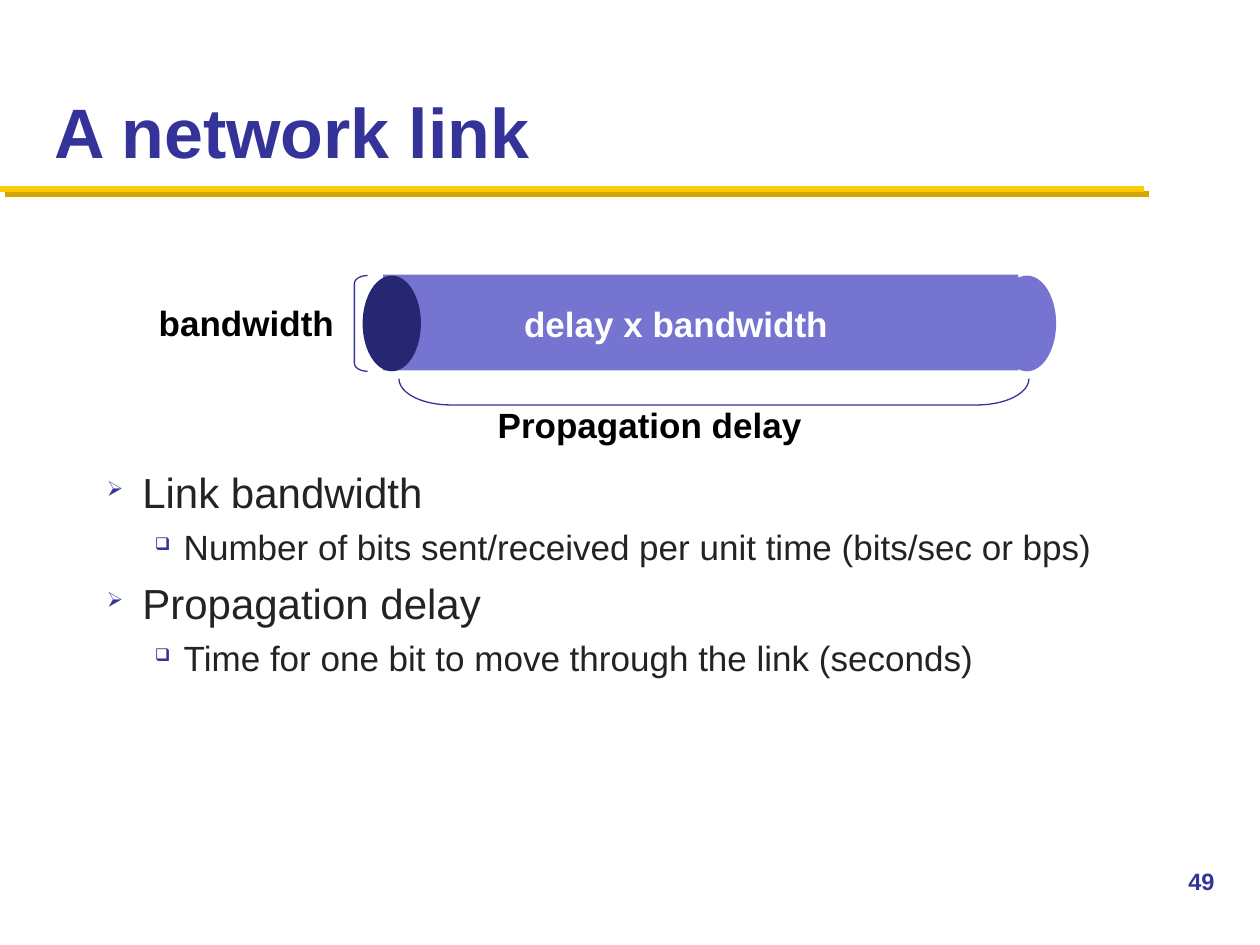
from lxml import etree
from pptx import Presentation
from pptx.dml.color import RGBColor
from pptx.enum import shapes, text
from pptx.oxml import ns
from pptx.util import Pt

NAVY = RGBColor(0x33, 0x33, 0x99)
DARK_END = RGBColor(0x26, 0x26, 0x73)
PIPE = RGBColor(0x75, 0x75, 0xD1)
GOLD = RGBColor(0xFF, 0xCB, 0x05)
INK = RGBColor(0x23, 0x23, 0x23)
BLACK = RGBColor(0, 0, 0)
WHITE = RGBColor(0xFF, 0xFF, 0xFF)
FONT = "Arial"

TITLE = "A network link"
PAGE_NUMBER = "49"
BULLETS = [
    (0, "Link bandwidth"),
    (1, "Number of bits sent/received per unit time (bits/sec or bps)"),
    (0, "Propagation delay"),
    (1, "Time for one bit to move through the link (seconds)"),
]
# Per level: mark, text size, left margin, hanging indent, space before
LEVELS = [("➢", 24, 20.25, 20.25, 5.6), ("❑", 20, 43.9, 16.5, 4.8)]

# Text, colour, box in points
LABELS = [
    ("bandwidth", BLACK, (82.8, 168.5, 115.2, 31.5)),
    ("Propagation delay", BLACK, (275.8, 226.8, 189.4, 31.5)),
    ("delay x bandwidth", WHITE, (290.9, 169.2, 189.4, 31.5)),
]

MSO = shapes.MSO_SHAPE
PIPE_TOP, PIPE_HEIGHT, END_WIDTH = 157.5, 54.7, 33.3
# Preset, box in points, fill
PIPE_PARTS = [
    (MSO.OVAL, (570.2, PIPE_TOP, END_WIDTH, PIPE_HEIGHT), PIPE),
    (MSO.RECTANGLE, (219, PIPE_TOP - 0.5, 363, PIPE_HEIGHT), PIPE),
    (MSO.OVAL, (207.2, PIPE_TOP, END_WIDTH, PIPE_HEIGHT), DARK_END),
]
# Box in points, rotation, bracket curvature
BRACKETS = [
    ((202.5, PIPE_TOP, 7.5, PIPE_HEIGHT), 0, 0.61),
    ((400.5, 43.9, 15, 360), 270, 1.98),
]


def points(values):
    return [Pt(value) for value in values]


def add_run(paragraph, words, size, color, bold=False):
    run = paragraph.add_run()
    run.text = words
    run.font.name = FONT
    run.font.size = Pt(size)
    run.font.bold = bold
    run.font.color.rgb = color


def add_text_box(slide, box, wrap=True):
    frame = slide.shapes.add_textbox(*points(box)).text_frame
    frame.word_wrap = wrap
    return frame


def add_bullet(paragraph, mark):
    properties = paragraph._p.get_or_add_pPr()
    color = etree.SubElement(properties, ns.qn("a:buClr"))
    etree.SubElement(color, ns.qn("a:srgbClr"), val=str(NAVY))
    etree.SubElement(properties, ns.qn("a:buSzPct"), val="50000")
    etree.SubElement(properties, ns.qn("a:buChar"), char=mark)
    return properties


def add_rule(slide):
    """Gold line under the title, with a darker hard shadow."""
    rule = slide.shapes.add_connector(
        shapes.MSO_CONNECTOR.STRAIGHT, *points((0, 108, 653.75, 108)))
    rule.line.color.rgb = GOLD
    rule.line.width = Pt(3.5)
    effects = etree.SubElement(rule._element.spPr, ns.qn("a:effectLst"))
    shadow = etree.SubElement(effects, ns.qn("a:outerShdw"), dist=str(Pt(4.2)),
                              dir=str(45 * 60000), algn="ctr", rotWithShape="0")
    etree.SubElement(shadow, ns.qn("a:srgbClr"), val="D3A600")


def add_title(slide):
    title = slide.shapes.title
    title.left, title.top, title.width, title.height = points((23.75, 12.25, 672, 90))
    frame = title.text_frame
    frame.vertical_anchor = text.MSO_ANCHOR.BOTTOM
    paragraph = frame.paragraphs[0]
    paragraph.alignment = text.PP_ALIGN.LEFT
    add_run(paragraph, TITLE, 40, NAVY, True)


def add_bullets(slide):
    frame = add_text_box(slide, (54, 263.2, 624, 210))
    for index, (level, words) in enumerate(BULLETS):
        mark, size, margin, hanging, gap = LEVELS[level]
        paragraph = frame.add_paragraph() if index else frame.paragraphs[0]
        paragraph.level = level
        if index:
            paragraph.space_before = Pt(gap)
        properties = add_bullet(paragraph, mark)
        properties.set("marL", str(Pt(margin)))
        properties.set("indent", str(-Pt(hanging)))
        add_run(paragraph, words, size, INK)


def add_pipe(slide):
    for preset, box, color in PIPE_PARTS:
        part = slide.shapes.add_shape(preset, *points(box))
        part.shadow.inherit = False
        part.fill.solid()
        part.fill.fore_color.rgb = color
        part.line.fill.background()
    for box, rotation, curvature in BRACKETS:
        bracket = slide.shapes.add_shape(MSO.LEFT_BRACKET, *points(box))
        bracket.shadow.inherit = False
        bracket.fill.background()
        bracket.line.color.rgb = NAVY
        bracket.line.width = Pt(0.75)
        bracket.rotation = rotation
        bracket.adjustments[0] = curvature


def add_labels(slide):
    for words, color, box in LABELS:
        frame = add_text_box(slide, box, wrap=False)
        frame.auto_size = text.MSO_AUTO_SIZE.SHAPE_TO_FIT_TEXT
        paragraph = frame.paragraphs[0]
        paragraph.alignment = text.PP_ALIGN.RIGHT
        add_run(paragraph, words, 20, color, True)


def main():
    presentation = Presentation()
    presentation.slide_width, presentation.slide_height = Pt(720), Pt(540)
    slide = presentation.slides.add_slide(presentation.slide_layouts[5])
    add_rule(slide)
    add_title(slide)
    add_bullets(slide)
    number = add_text_box(slide, (672, 492, 48, 36))
    add_run(number.paragraphs[0], PAGE_NUMBER, 13.5, NAVY, True)
    add_pipe(slide)
    add_labels(slide)
    presentation.save("out.pptx")


if __name__ == "__main__":
    main()
